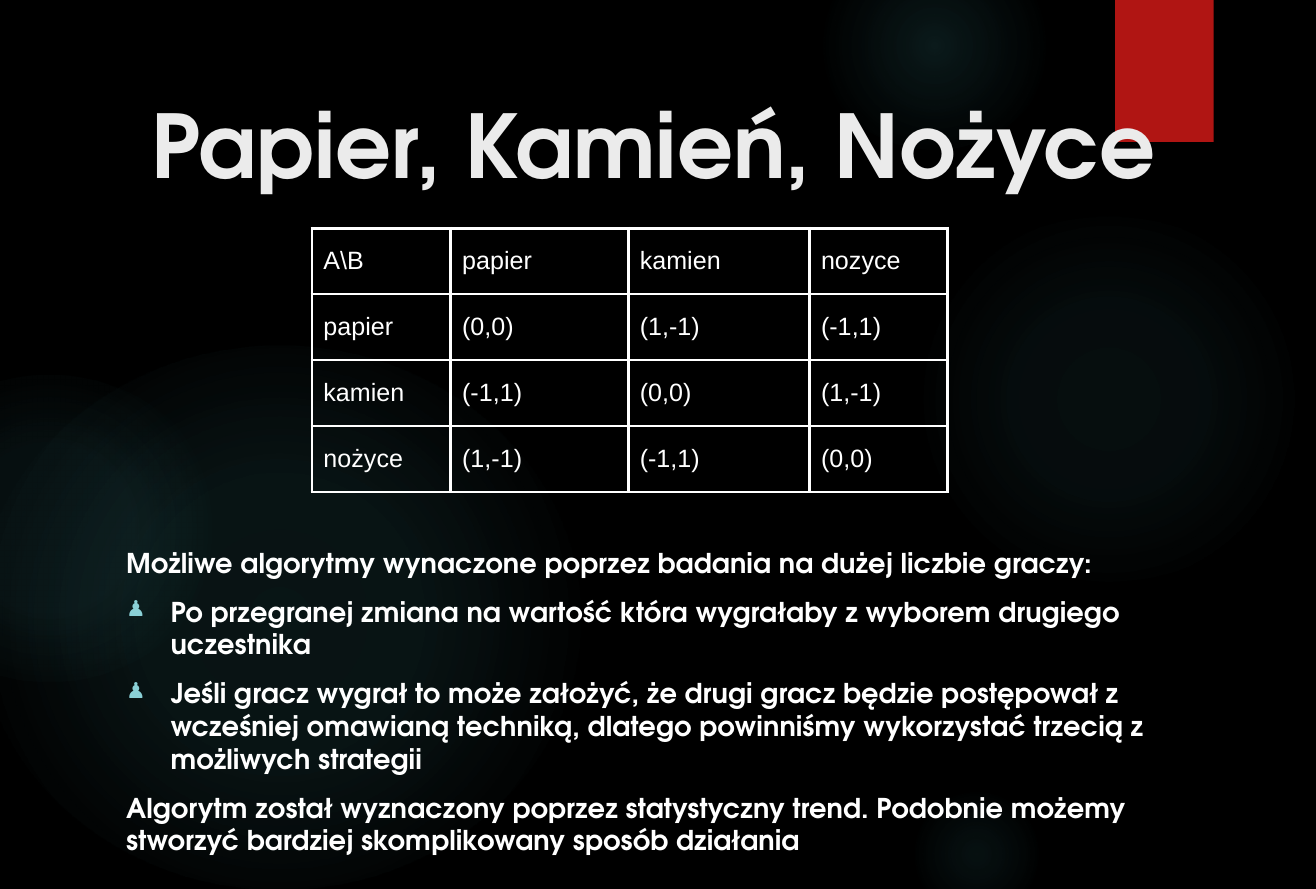
import pptx
import pptx.dml.color
import pptx.enum.shapes
import pptx.enum.text
import pptx.oxml
import pptx.oxml.ns
import pptx.util

Cm, Pt = pptx.util.Cm, pptx.util.Pt
NS = pptx.oxml.ns.nsdecls("a")
SHAPES = pptx.enum.shapes.MSO_SHAPE
ANCHOR = pptx.enum.text.MSO_ANCHOR
COLORS = {"bg": "000000", "glow": "50B9C1", "ribbon": "B01513", "shadow": "000000",
          "title": "EBEBEB", "text": "FFFFFF", "bullet": "8AD0D6"}
HEAD_FONT, CELL_FONT = "TeX Gyre Adventor", "Arial"

GLOWS = [
    ((10.19, 2.44, 4.57, 4.11), ((0, 7), (36, 6), (69, 0))),
    ((9.22, -0.66, 2.59, 2.34), ((0, 14), (36, 7), (73, 0))),
    ((10.19, 8.89, 1.6, 1.45), ((0, 9), (36, 5), (66, 0))),
    ((-0.25, 3.89, 6.78, 6.12), ((0, 11), (36, 10), (75, 0))),
    ((-1.37, 4.22, 3.84, 3.45), ((0, 8), (36, 8), (72, 0))),
]
PAYOFFS = [
    ("A\\B", "papier", "kamien", "nozyce"),
    ("papier", "(0,0)", "(1,-1)", "(-1,1)"),
    ("kamien", "(-1,1)", "(0,0)", "(1,-1)"),
    ("nożyce", "(1,-1)", "(-1,1)", "(0,0)"),
]
NOTES = [
    (False, "Możliwe algorytmy wynaczone poprzez badania na dużej liczbie graczy:"),
    (True, "Po przegranej zmiana na wartość która wygrałaby z wyborem drugiego uczestnika"),
    (True, "Jeśli gracz wygrał to może założyć, że drugi gracz będzie postępował z wcześniej "
           "omawianą techniką, dlatego powinniśmy wykorzystać trzecią z możliwych strategii"),
    (False, "Algorytm został wyznaczony poprzez statystyczny trend. Podobnie możemy "
            "stworzyć bardziej skomplikowany sposób działania"),
]


def rgb(name):
    """Return the named colour."""
    return pptx.dml.color.RGBColor.from_string(COLORS[name])


def add_run(p, text, font, size, color, bold=False):
    """Append one formatted run to a paragraph."""
    r = p.add_run()
    r.text = text
    r.font.name, r.font.size, r.font.bold = font, Pt(size), bold
    r.font.color.rgb = rgb(color)


def set_frame(tf):
    """Wrap a text frame and anchor it at the top with standard insets."""
    tf.word_wrap = True
    tf.auto_size = pptx.enum.text.MSO_AUTO_SIZE.NONE
    tf.vertical_anchor = ANCHOR.TOP
    tf.margin_left = tf.margin_right = Cm(0.25)
    tf.margin_top = tf.margin_bottom = Cm(0.13)


def add_plain_shape(s, kind, box):
    """Add a preset shape without line or shadow."""
    sp = s.shapes.add_shape(kind, *map(Cm, box))
    sp.shadow.inherit = False
    sp.line.fill.background()
    return sp


def add_glow(s, box, stops):
    """Add a soft circle that fades out from its centre."""
    sp = add_plain_shape(s, SHAPES.OVAL, box)
    sp.fill.background()
    gs = "".join(f'<a:gs pos="{pos * 1000}"><a:srgbClr val="{COLORS["glow"]}">'
                 f'<a:alpha val="{alpha * 1000}"/></a:srgbClr></a:gs>' for pos, alpha in stops)
    grad = pptx.oxml.parse_xml(
        f'<a:gradFill {NS} rotWithShape="1"><a:gsLst>{gs}</a:gsLst><a:path path="circle">'
        '<a:fillToRect l="50000" t="50000" r="50000" b="50000"/></a:path></a:gradFill>')
    spPr = sp._element.spPr
    spPr.replace(spPr.find(pptx.oxml.ns.qn("a:noFill")), grad)


def add_ribbon(s, box):
    """Add the red ribbon with its drop shadow."""
    sp = add_plain_shape(s, SHAPES.RECTANGLE, box)
    sp.fill.solid()
    sp.fill.fore_color.rgb = rgb("ribbon")
    sp._element.spPr.find(pptx.oxml.ns.qn("a:effectLst")).append(pptx.oxml.parse_xml(
        f'<a:outerShdw {NS} blurRad="{Pt(3)}" dist="{Pt(2)}" dir="5400000" rotWithShape="0">'
        f'<a:srgbClr val="{COLORS["shadow"]}"><a:alpha val="45000"/></a:srgbClr></a:outerShdw>'))


def add_title(s, box, text):
    """Place the title placeholder in front of the decoration."""
    sp = s.shapes.title
    s.shapes._spTree.append(sp._element)
    sp.left, sp.top, sp.width, sp.height = map(Cm, box)
    set_frame(sp.text_frame)
    p = sp.text_frame.paragraphs[0]
    p.alignment = pptx.enum.text.PP_ALIGN.LEFT
    add_run(p, text, HEAD_FONT, 28, "title", True)


def format_cell(cell, text):
    """Fill one cell with text and white borders."""
    cell.fill.background()
    cell.vertical_anchor = ANCHOR.MIDDLE
    cell.margin_left = cell.margin_right = Cm(0.13)
    cell.margin_top = cell.margin_bottom = Cm(0.2)
    add_run(cell.text_frame.paragraphs[0], text, CELL_FONT, 8, "text")
    tcPr = cell._tc.get_or_add_tcPr()
    for i, side in enumerate("LRTB"):
        tcPr.insert(i, pptx.oxml.parse_xml(
            f'<a:ln{side} {NS} w="{Pt(1)}"><a:solidFill><a:srgbClr val="{COLORS["text"]}"/>'
            f'</a:solidFill></a:ln{side}>'))


def add_payoffs(s, box, rows, widths):
    """Add the payoff table with equal rows."""
    table = s.shapes.add_table(len(rows), len(widths), *map(Cm, box)).table
    table.first_row = table.horz_banding = False
    for col, width in zip(table.columns, widths):
        col.width = Cm(width)
    for i, row in enumerate(rows):
        table.rows[i].height = Cm(box[3] / len(rows))
        for j, text in enumerate(row):
            format_cell(table.cell(i, j), text)


def add_bullet(p):
    """Give a paragraph a pawn bullet and a hanging indent."""
    pPr = p._p.get_or_add_pPr()
    pPr.set("marL", str(Cm(0.5)))
    pPr.set("indent", str(Cm(-0.5)))
    for xml in (f'<a:buClr {NS}><a:srgbClr val="{COLORS["bullet"]}"/></a:buClr>',
                f'<a:buSzPct {NS} val="80000"/>', f'<a:buChar {NS} char="♟"/>'):
        pPr.append(pptx.oxml.parse_xml(xml))


def add_notes(s, box, notes):
    """Add the explanation with its bulleted strategies."""
    tf = s.shapes.add_textbox(*map(Cm, box)).text_frame
    set_frame(tf)
    for i, (bulleted, text) in enumerate(notes):
        p = tf.add_paragraph() if i else tf.paragraphs[0]
        if bulleted:
            add_bullet(p)
        if i:
            p.space_before = Pt(5.2)
        add_run(p, text, HEAD_FONT, 8.7, "text", True)


def main():
    """Build the slide and save it."""
    prs = pptx.Presentation()
    prs.slide_width, prs.slide_height = Cm(14.81), Cm(10.01)
    s = prs.slides.add_slide(prs.slide_layouts[5])
    s.background.fill.solid()
    s.background.fill.fore_color.rgb = rgb("bg")
    for box, stops in GLOWS:
        add_glow(s, box, stops)
    add_ribbon(s, (12.55, 0, 1.11, 1.6))
    add_title(s, (1.45, 0.89, 13.36, 2.03), "Papier, Kamień, Nożyce")
    add_payoffs(s, (3.51, 2.57, 7.15, 2.97), PAYOFFS, (1.56, 2, 2.04, 1.55))
    add_notes(s, (1.17, 6.02, 12.93, 3.23), NOTES)
    prs.save("out.pptx")


if __name__ == "__main__":
    main()
